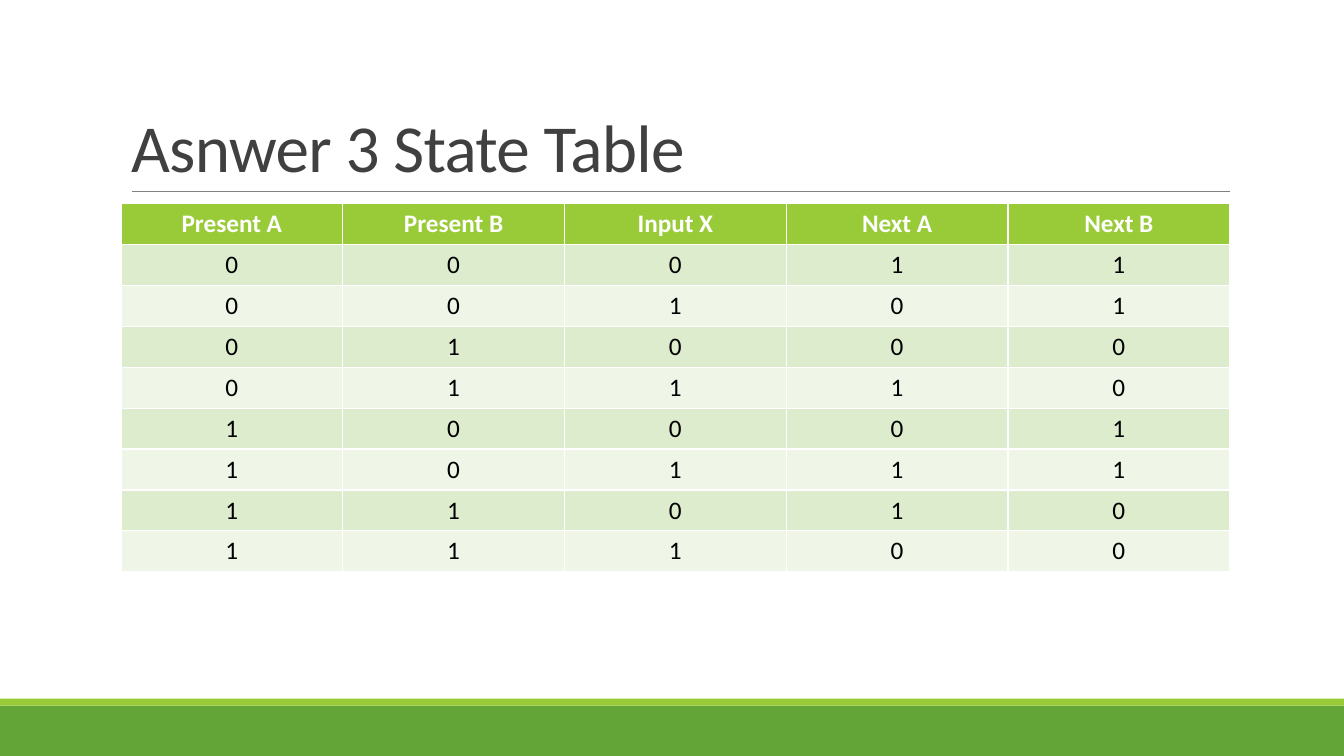
"""Build the state table slide."""
from dataclasses import dataclass
from itertools import product
from typing import Any

from pptx import Presentation
from pptx.dml.color import RGBColor
from pptx.enum import shapes, text
from pptx.oxml import ns, xmlchemy as xml
from pptx.util import Pt

WHITE = RGBColor(0xFF, 0xFF, 0xFF)
BLACK = RGBColor(0, 0, 0)
INK = RGBColor(0x40, 0x40, 0x40)
GREY = RGBColor(0x80, 0x80, 0x80)
GREEN = RGBColor(0x63, 0xA5, 0x37)
LIME = RGBColor(0x99, 0xCB, 0x38)
TINTS = (RGBColor(0xDE, 0xEC, 0xCE), RGBColor(0xEF, 0xF6, 0xE8))
WIDE, HIGH = 960, 540
LEFT, SPAN = 86.4, 792
TOP, ROW = 145.6, 29.2
HEADS = ("Present A", "Present B", "Input X", "Next A", "Next B")


@dataclass(frozen=True)
class Band:
    """A full-width stripe at the foot of the slide."""
    top: float
    high: float
    fill: RGBColor


BANDS = (Band(504, 36, GREEN), Band(499, 5, LIME))


def apply(item: Any, look: dict[str, Any]) -> None:
    """Set each attribute named in the look."""
    for key, value in look.items():
        setattr(item, key, value)


def style(font: Any, size: float, ink: RGBColor, bold: bool = False) -> None:
    """Format a font."""
    apply(font, {"name": "Calibri", "size": Pt(size), "bold": bold})
    font.color.rgb = ink


def place(left: float, top: float, wide: float, high: float) -> dict[str, Any]:
    """Give a position and size as attributes."""
    return {"left": Pt(left), "top": Pt(top), "width": Pt(wide), "height": Pt(high)}


def draw_band(slide: Any, band: Band) -> None:
    """Draw one stripe."""
    box = slide.shapes.add_shape(shapes.MSO_SHAPE.RECTANGLE, 0, Pt(band.top), Pt(WIDE), Pt(band.high))
    box.shadow.inherit = False
    box.fill.solid()
    box.fill.fore_color.rgb = band.fill
    box.line.fill.background()


def draw_rule(slide: Any) -> None:
    """Draw the thin line under the title."""
    rule = slide.shapes.add_connector(shapes.MSO_CONNECTOR.STRAIGHT, Pt(94), Pt(136.9), Pt(878.8), Pt(136.9))
    rule.line.width = Pt(0.5)
    rule.line.color.rgb = GREY
    rule.element.spPr.append(xml.OxmlElement("a:effectLst"))


def draw_title(slide: Any, words: str) -> None:
    """Fill and format the title placeholder."""
    title = slide.shapes.title
    apply(title, place(LEFT, 22.3, SPAN, 114.5))
    frame = title.text_frame
    apply(frame, {"text": words, "word_wrap": True, "auto_size": text.MSO_AUTO_SIZE.NONE,
                  "vertical_anchor": text.MSO_ANCHOR.BOTTOM})
    para = frame.paragraphs[0]
    apply(para, {"alignment": text.PP_ALIGN.LEFT, "line_spacing": 0.85})
    style(para.runs[0].font, 48, INK)
    for props in title.element.iter(ns.qn("a:rPr")):
        props.set("spc", "-50")


def draw_cell(cell: Any, words: str, fill: RGBColor, head: bool) -> None:
    """Write and colour one table cell."""
    cell.text = words
    cell.fill.solid()
    cell.fill.fore_color.rgb = fill
    para = cell.text_frame.paragraphs[0]
    para.alignment = text.PP_ALIGN.CENTER
    style(para.runs[0].font, 18, WHITE if head else BLACK, head)


def draw_table(slide: Any) -> None:
    """Tabulate the next state for every present state and input."""
    states = [(a, b, x, 1 - (a ^ b ^ x), 1 - b) for a, b, x in product((0, 1), repeat=3)]
    rows = [HEADS, *states]
    grid = slide.shapes.add_table(len(rows), len(HEADS), Pt(LEFT), Pt(TOP), Pt(SPAN), Pt(ROW * len(rows))).table
    for i, row in enumerate(rows):
        fill = TINTS[(i - 1) % 2] if i else LIME
        for j, value in enumerate(row):
            draw_cell(grid.cell(i, j), str(value), fill, i == 0)


def main() -> None:
    """Assemble and save the slide."""
    deck = Presentation()
    apply(deck, {"slide_width": Pt(WIDE), "slide_height": Pt(HIGH)})
    slide = deck.slides.add_slide(deck.slide_layouts[5])
    for band in BANDS:
        draw_band(slide, band)
    draw_rule(slide)
    draw_title(slide, "Asnwer 3 State Table")
    draw_table(slide)
    deck.save("out.pptx")


main()
